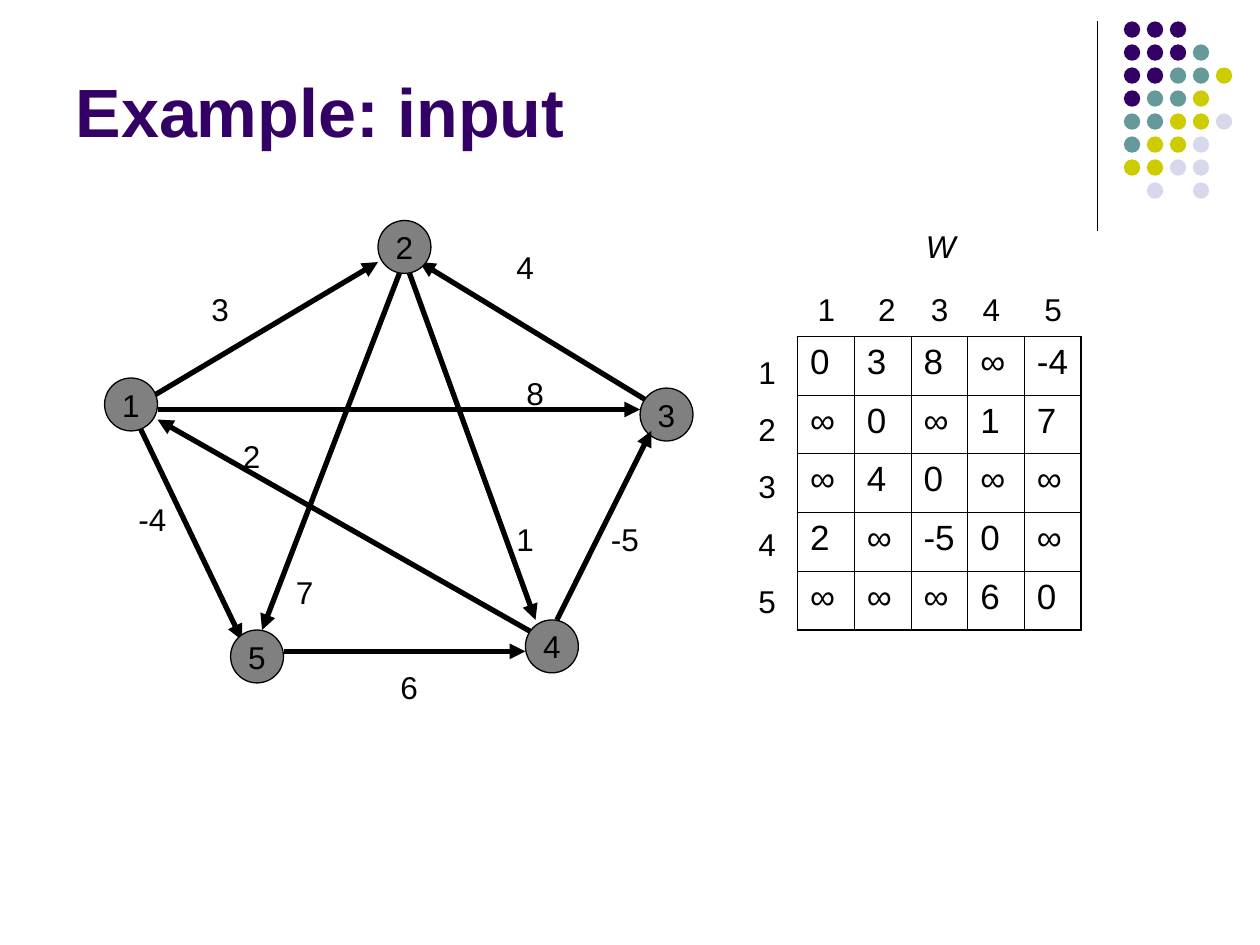
import pptx
import pptx.dml.color
import pptx.enum.shapes
import pptx.enum.text
import pptx.oxml
import pptx.oxml.ns
import pptx.util
from pptx.util import Inches

BLACK, PURPLE, GREY = "000000", "330066", "808080"
NODE_SIZE = 0.42
DOT_SIZE, DOT_PITCH = 0.13, 0.73 / 4
DOT_COLOURS = {"p": PURPLE, "t": "669999", "y": "CCCC00", "l": "D8D8EC"}
DOT_ROWS = ["ppp", "pppt", "pptty", "ptty", "ttyyl", "tyyl", "yyll", " l l"]

# Each edge: start x, start y, end x, end y.
EDGES_BEHIND_NODES = [
    (1.08, 3.33, 1.92, 5.08),
    (5.25, 3.25, 3.33, 2.08),
    (4.33, 5.08, 1.25, 3.33),
    (1.17, 3.17, 3, 2.08),
]
EDGES_OVER_NODES = [
    (2.25, 5.17, 4.17, 5.17),
    (4.42, 4.92, 5.17, 3.42),
    (3.17, 2.17, 2.08, 5),
    (3.25, 2.17, 4.25, 4.92),
    (1.25, 3.25, 5.08, 3.25),
]
NODES = [("2", 3, 1.75), ("1", 0.83, 3), ("5", 1.83, 5), ("3", 5.08, 3.08), ("4", 4.17, 4.92)]
# Each weight: text, left, top, width.
WEIGHTS = [
    ("3", 1.58, 2.25, 0.42),
    ("4", 4, 1.92, 0.58),
    ("8", 4.08, 2.92, 0.42),
    ("-4", 1, 3.92, 0.58),
    ("6", 3.08, 5.25, 0.67),
    ("2", 1.83, 3.42, 0.33),
    ("1", 4, 4.08, 0.25),
    ("-5", 4.75, 4.08, 0.5),
    ("7", 2.25, 4.5, 0.33),
]
MATRIX = [
    ["0", "3", "8", "∞", "-4"],
    ["∞", "0", "∞", "1", "7"],
    ["∞", "4", "0", "∞", "∞"],
    ["2", "∞", "-5", "0", "∞"],
    ["∞", "∞", "∞", "6", "0"],
]
HEADER_TABS = [0.14, 0.62, 1.04, 1.45, 1.94]


def colour(hex_text):
    return pptx.dml.color.RGBColor.from_string(hex_text)


def style(paragraph, size=18, hex_text=BLACK, bold=False, italic=False):
    font = paragraph.font
    font.name, font.size = "Arial", pptx.util.Pt(size)
    font.bold, font.italic = bold, italic
    font.color.rgb = colour(hex_text)


def add_line(shapes, start_x, start_y, end_x, end_y, width, arrow=False):
    line = shapes.add_connector(
        pptx.enum.shapes.MSO_CONNECTOR.STRAIGHT,
        Inches(start_x), Inches(start_y), Inches(end_x), Inches(end_y),
    )
    line.line.color.rgb = colour(BLACK)
    line.line.width = pptx.util.Pt(width)
    properties = line._element.spPr
    if arrow:
        head = pptx.oxml.parse_xml(f'<a:tailEnd {pptx.oxml.ns.nsdecls("a")} type="triangle"/>')
        line.line._get_or_add_ln().append(head)
    properties.append(pptx.oxml.parse_xml(f'<a:effectLst {pptx.oxml.ns.nsdecls("a")}/>'))


def add_circle(shapes, left, top, size, fill):
    circle = shapes.add_shape(
        pptx.enum.shapes.MSO_SHAPE.OVAL, Inches(left), Inches(top), Inches(size), Inches(size)
    )
    circle.shadow.inherit = False
    circle.fill.solid()
    circle.fill.fore_color.rgb = colour(fill)
    circle.line.fill.background()
    return circle


def add_node(shapes, name, left, top):
    node = add_circle(shapes, left, top, NODE_SIZE, GREY)
    node.line.color.rgb = colour(BLACK)
    node.line.width = pptx.util.Pt(0.75)
    frame = node.text_frame
    frame.word_wrap = False
    frame.vertical_anchor = pptx.enum.text.MSO_ANCHOR.MIDDLE
    frame.text = name
    frame.paragraphs[0].alignment = pptx.enum.text.PP_ALIGN.CENTER
    style(frame.paragraphs[0])


def add_label(shapes, text, left, top, width, height=0.4, italic=False):
    box = shapes.add_textbox(Inches(left), Inches(top), Inches(width), Inches(height))
    box.text_frame.word_wrap = True
    box.text_frame.text = text
    for paragraph in box.text_frame.paragraphs:
        paragraph.space_before = pptx.util.Pt(11.2)
        style(paragraph, italic=italic)
    return box


def add_title(slide, text):
    title = slide.shapes.title
    title.left, title.top, title.width, title.height = map(Inches, (0.5, 0.3, 9, 0.95))
    frame = title.text_frame
    frame.text = text
    frame.auto_size = pptx.enum.text.MSO_AUTO_SIZE.NONE
    frame.vertical_anchor = pptx.enum.text.MSO_ANCHOR.BOTTOM
    frame.paragraphs[0].alignment = pptx.enum.text.PP_ALIGN.LEFT
    style(frame.paragraphs[0], 39, PURPLE, bold=True)


def add_decoration(slide):
    add_line(slide.shapes, 8.71, 0.17, 8.71, 1.83, 0.75)
    dots = slide.shapes.add_group_shape().shapes
    for row, keys in enumerate(DOT_ROWS):
        for column, key in enumerate(keys):
            if key in DOT_COLOURS:
                left, top = 8.92 + column * DOT_PITCH, 0.17 + row * DOT_PITCH
                add_circle(dots, left, top, DOT_SIZE, DOT_COLOURS[key])


def add_graph(slide):
    graph = slide.shapes.add_group_shape().shapes
    for edge in EDGES_BEHIND_NODES:
        add_line(graph, *edge, 3, arrow=True)
    for node in NODES:
        add_node(graph, *node)
    for edge in EDGES_OVER_NODES:
        add_line(graph, *edge, 3, arrow=True)
    for weight in WEIGHTS:
        add_label(graph, *weight)


def set_borders(cell, widths):
    """Draw black borders with the given widths, in the order left, right, top, bottom."""
    properties = cell._tc.get_or_add_tcPr()
    for index, (side, width) in enumerate(zip("LRTB", widths)):
        border = pptx.oxml.parse_xml(
            f'<a:ln{side} {pptx.oxml.ns.nsdecls("a")} w="{pptx.util.Pt(width)}">'
            f'<a:solidFill><a:srgbClr val="{BLACK}"/></a:solidFill></a:ln{side}>'
        )
        properties.insert(index, border)


def add_matrix(slide):
    count = len(MATRIX)
    table = slide.shapes.add_table(
        count, count, Inches(6.33), Inches(2.67), Inches(2.25), Inches(2.33)
    ).table
    table.first_row = table.horz_banding = False
    last = count - 1
    for row, values in enumerate(MATRIX):
        for column, value in enumerate(values):
            cell = table.cell(row, column)
            cell.text = value
            cell.fill.background()
            paragraph = cell.text_frame.paragraphs[0]
            paragraph.space_before = pptx.util.Pt(5)
            style(paragraph, 20)
            outer_sides = (column == 0, column == last, row == 0, row == last)
            set_borders(cell, [1.08 if outer else 0.45 for outer in outer_sides])


def add_matrix_labels(slide):
    numbers = [str(number + 1) for number in range(len(MATRIX))]
    header = add_label(slide.shapes, "".join("\t" + number for number in numbers), 6.25, 2.25, 3.25)
    stops = "".join(f'<a:tab pos="{Inches(stop)}" algn="l"/>' for stop in HEADER_TABS)
    tabs = pptx.oxml.parse_xml(f'<a:tabLst {pptx.oxml.ns.nsdecls("a")}>{stops}</a:tabLst>')
    properties = header.text_frame.paragraphs[0]._p.get_or_add_pPr()
    properties.find(pptx.oxml.ns.qn("a:defRPr")).addprevious(tabs)
    add_label(slide.shapes, "\n".join(numbers), 5.92, 2.75, 0.58, 2.23)
    add_label(slide.shapes, "W", 7.25, 1.75, 0.75, italic=True)


def main():
    deck = pptx.Presentation()
    deck.slide_width, deck.slide_height = Inches(10), Inches(7.5)
    slide = deck.slides.add_slide(deck.slide_layouts[5])
    add_decoration(slide)
    add_title(slide, "Example: input")
    add_graph(slide)
    add_matrix(slide)
    add_matrix_labels(slide)
    deck.save("out.pptx")


if __name__ == "__main__":
    main()
